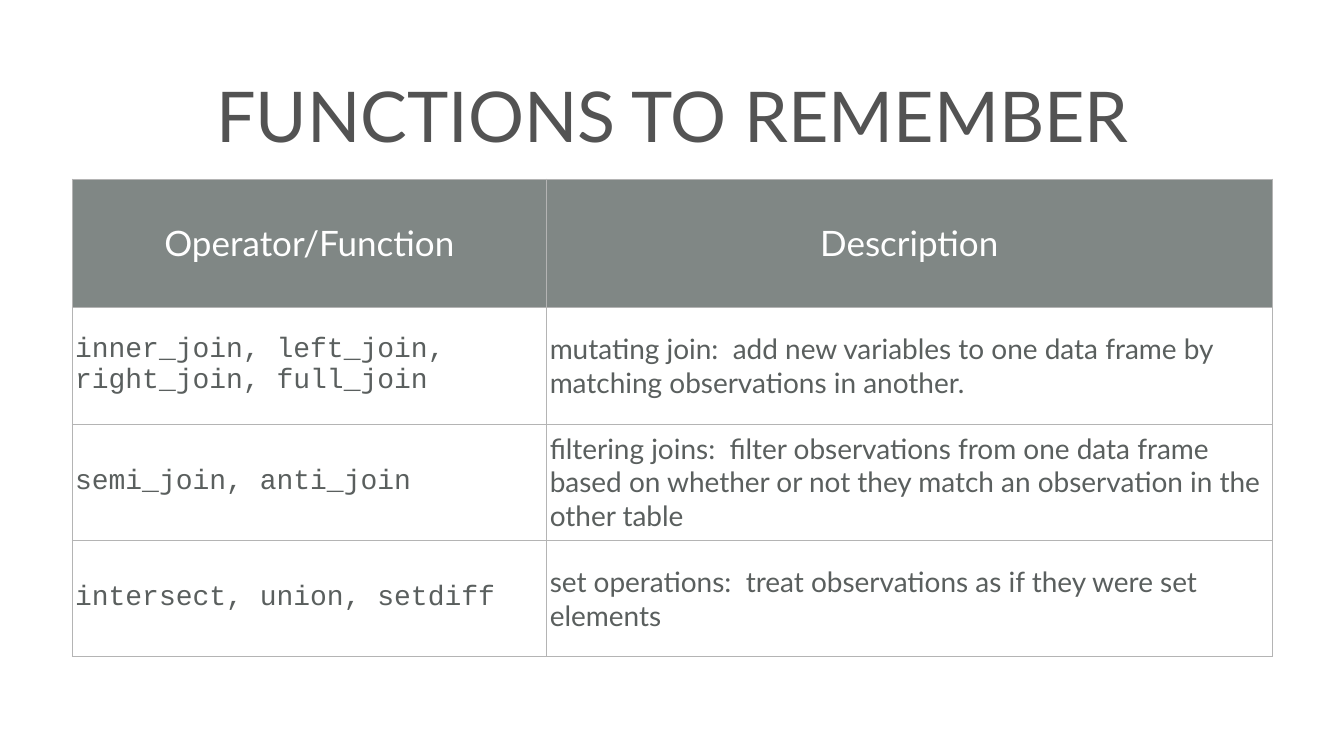
import pptx
import pptx.dml.color
import pptx.enum.text
import pptx.oxml
import pptx.oxml.ns
import pptx.util
from pptx.util import Inches

ALIGN = pptx.enum.text.PP_ALIGN
MIDDLE = pptx.enum.text.MSO_ANCHOR.MIDDLE

HEAD = ["Operator/Function", "Description"]
BODY = [
    ["inner_join, left_join, right_join, full_join",
     "mutating join:  add new variables to one data frame by matching "
     "observations in another."],
    ["semi_join, anti_join",
     "filtering joins:  filter observations from one data frame based on "
     "whether or not they match an observation in the other table"],
    ["intersect, union, setdiff",
     "set operations:  treat observations as if they were set elements"],
]


def color(code):
    return pptx.dml.color.RGBColor.from_string(code)


class Deck:
    sans, mono = "Lato", "Courier New"
    dark, ink, light = "535353", "5A5F5E", "FFFFFF"
    band, rule = "808785", "B4B4B4"
    pad = Inches(0.06)

    def __init__(self, width, height):
        self.file = pptx.Presentation()
        self.file.slide_width = Inches(width)
        self.file.slide_height = Inches(height)
        self.slide = self.file.slides.add_slide(self.file.slide_layouts[5])
        back = self.slide.background.fill
        back.solid()
        back.fore_color.rgb = color(self.light)

    def style(self, frame, size, font, tint, align):
        for para in frame.paragraphs:
            para.alignment = align
            for run in para.runs:
                run.font.size = pptx.util.Pt(size)
                run.font.name = font
                run.font.bold = False
                run.font.color.rgb = color(tint)

    def inset(self, item):
        item.margin_left = item.margin_right = self.pad
        item.margin_top = item.margin_bottom = self.pad
        item.vertical_anchor = MIDDLE

    def title(self, text, left, top, width, height):
        shape = self.slide.shapes.title
        shape.left, shape.top = Inches(left), Inches(top)
        shape.width, shape.height = Inches(width), Inches(height)
        frame = shape.text_frame
        frame.text = text
        frame.word_wrap = True
        frame.auto_size = pptx.enum.text.MSO_AUTO_SIZE.NONE
        self.inset(frame)
        self.style(frame, 100, self.sans, self.dark, ALIGN.CENTER)

    def border(self, cell):
        # Edges must come before the fill in the cell properties
        props = cell._tc.get_or_add_tcPr()
        for spot, side in enumerate("LRTB"):
            props.insert(spot, pptx.oxml.parse_xml(
                f'<a:ln{side} {pptx.oxml.ns.nsdecls("a")} w="12700">'
                f'<a:solidFill><a:srgbClr val="{self.rule}"/></a:solidFill>'
                f'</a:ln{side}>'))

    def cell(self, cell, text, fill, *look):
        cell.text_frame.text = text
        self.inset(cell)
        self.style(cell.text_frame, *look)
        if fill:
            cell.fill.solid()
            cell.fill.fore_color.rgb = color(fill)
        else:
            cell.fill.background()
        self.border(cell)

    def table(self, left, top, cols, rows, head, body):
        grid = self.slide.shapes.add_table(
            len(rows), len(cols), Inches(left), Inches(top),
            Inches(sum(cols)), Inches(sum(rows))).table
        for col, width in zip(grid.columns, cols):
            col.width = Inches(width)
        for row, height in zip(grid.rows, rows):
            row.height = Inches(height)
        # Header row
        for c, text in enumerate(head):
            self.cell(grid.cell(0, c), text, self.band,
                      50, self.sans, self.light, ALIGN.CENTER)
        # Body rows: code on the left, prose on the right
        for r, line in enumerate(body, 1):
            for c, (text, font) in enumerate(zip(line, (self.mono, self.sans))):
                self.cell(grid.cell(r, c), text, None,
                          40, font, self.ink, ALIGN.LEFT)


def main():
    deck = Deck(26.67, 15)
    deck.title("FUNCTIONS TO REMEMBER", 0.74, 0.39, 25.21, 3.75)
    deck.table(1.43, 3.55, [9.42, 14.39], [2.55] + [2.31] * 3, HEAD, BODY)
    deck.file.save("out.pptx")


if __name__ == "__main__":
    main()
